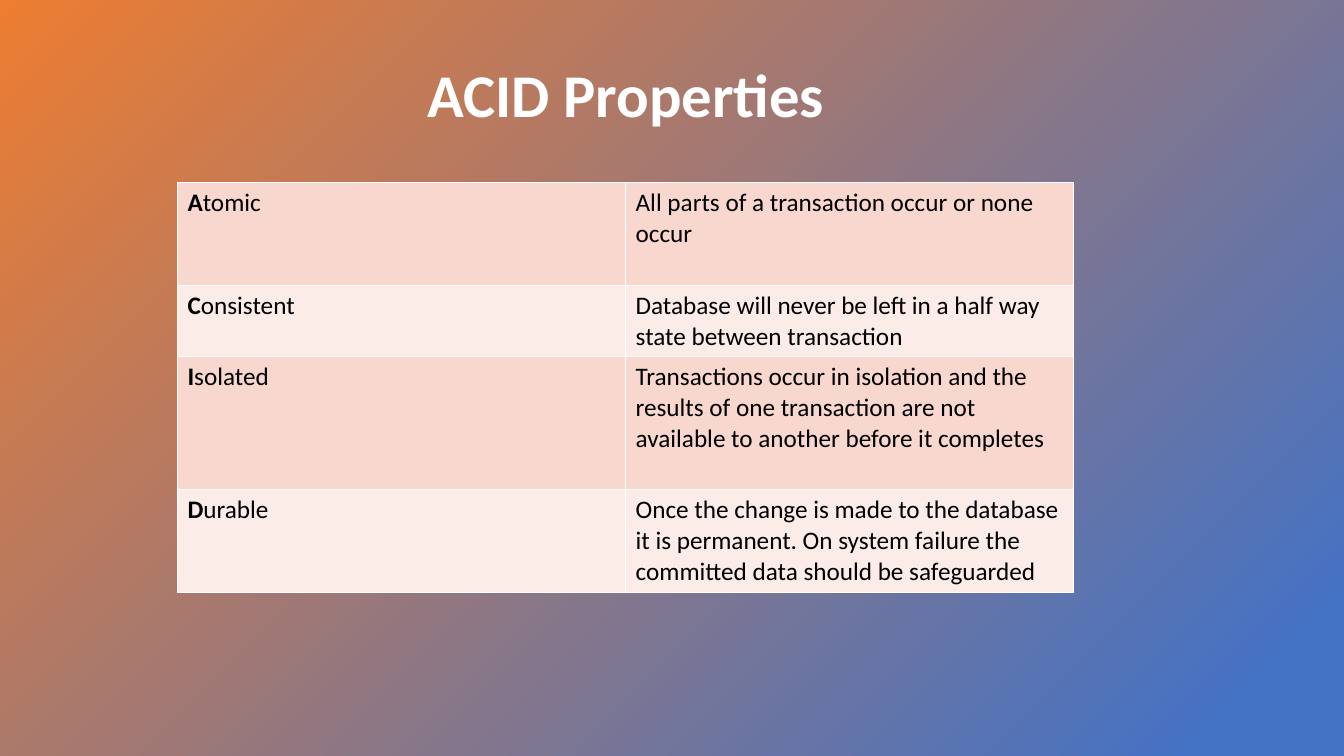
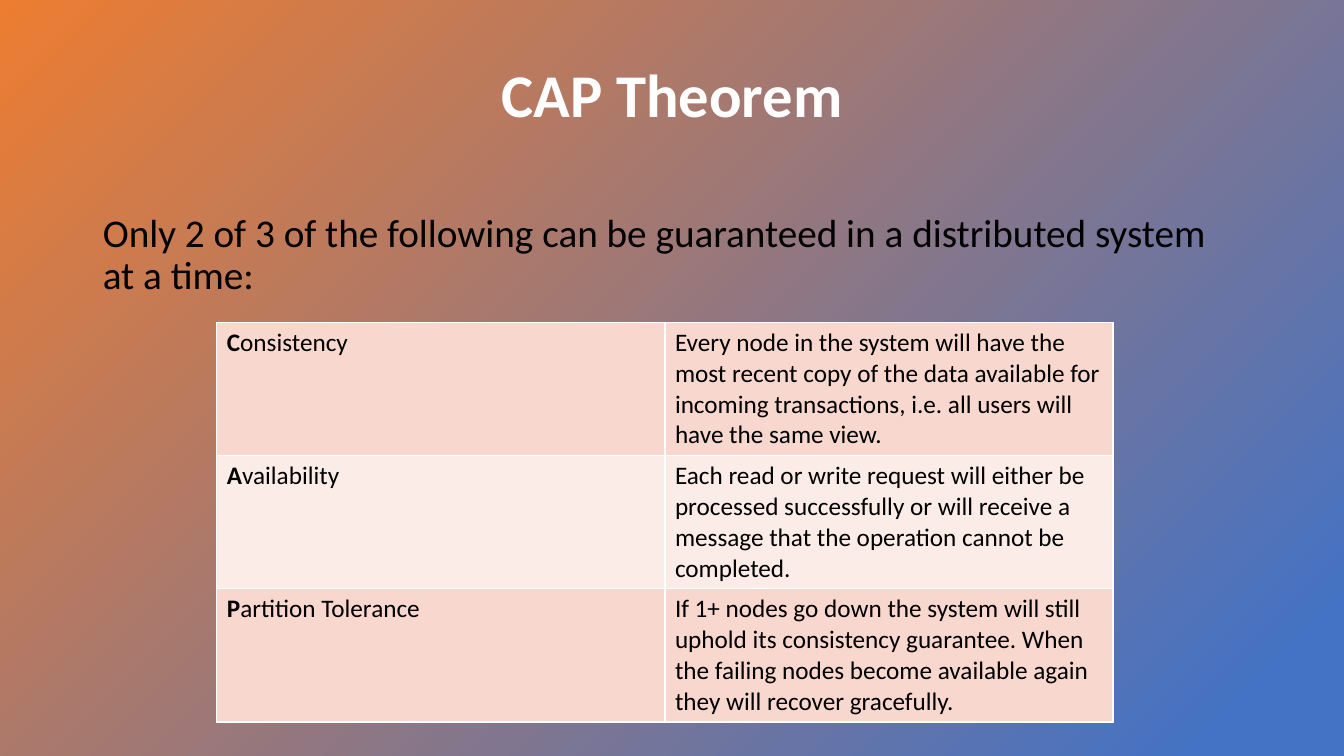
from lxml import etree
from pptx import Presentation
from pptx.dml.color import RGBColor
from pptx.enum.text import MSO_ANCHOR, MSO_AUTO_SIZE, PP_ALIGN
from pptx.oxml.ns import qn
from pptx.util import Inches, Pt

CENTER = PP_ALIGN.CENTER
MIDDLE = MSO_ANCHOR.MIDDLE
NO_AUTOFIT = MSO_AUTO_SIZE.NONE

ORANGE = RGBColor(0xED, 0x7D, 0x31)
BLUE = RGBColor(0x44, 0x72, 0xC4)
WHITE = RGBColor(0xFF, 0xFF, 0xFF)
BLACK = RGBColor(0x00, 0x00, 0x00)
BANDS = (RGBColor(0xF8, 0xD7, 0xCE), RGBColor(0xFC, 0xEC, 0xE8))

FONT = "Calibri"
TITLE_AND_BODY, TITLE_ONLY = 1, 5
TITLE_TOP, TITLE_WIDTH, TITLE_HEIGHT = 0.14, 9.93, 1.67
TABLE_WIDTH = 8.89

ACID_ROWS = [
    ("Atomic", "All parts of a transaction occur or none occur", 1.02),
    ("Consistent", "Database will never be left in a half way state between "
     "transaction", 0.71),
    ("Isolated", "Transactions occur in isolation and the results of one "
     "transaction are not available to another before it completes", 1.32),
    ("Durable", "Once the change is made to the database it is permanent. "
     "On system failure the committed data should be safeguarded", 1.02),
]
CAP_ROWS = [
    ("Consistency", "Every node in the system will have the most recent copy "
     "of the data available for incoming transactions, i.e. all users will "
     "have the same view.", 1.32),
    ("Availability", "Each read or write request will either be processed "
     "successfully or will receive a message that the operation cannot be "
     "completed.", 1.32),
    ("Partition Tolerance", "If 1+ nodes go down the system will still uphold "
     "its consistency guarantee. When the failing nodes become available "
     "again they will recover gracefully.", 1.32),
]


def paint_background(master):
    fill = master.background.fill
    fill.gradient()
    fill.gradient_angle = 315
    for stop, color, position in zip(fill.gradient_stops, (ORANGE, BLUE), (0, 0.93)):
        stop.color.rgb = color
        stop.position = position


def format_run(run, size, color, bold=False):
    run.font.name = FONT
    run.font.size = Pt(size)
    run.font.color.rgb = color
    run.font.bold = bold


def place(shape, left, top, width, height):
    shape.left, shape.top = Inches(left), Inches(top)
    shape.width, shape.height = Inches(width), Inches(height)


def set_title(slide, wording, left):
    title = slide.shapes.title
    place(title, left, TITLE_TOP, TITLE_WIDTH, TITLE_HEIGHT)
    frame = title.text_frame
    frame.text = wording
    frame.auto_size = NO_AUTOFIT
    frame.vertical_anchor = MIDDLE
    frame.margin_left = frame.margin_right = 0
    frame.margin_top = frame.margin_bottom = 0
    paragraph = frame.paragraphs[0]
    paragraph.alignment = CENTER
    paragraph.line_spacing = 0.9
    format_run(paragraph.runs[0], 43.3, WHITE, bold=True)


def set_lead(slide, wording, left, top, width, height):
    """Fill the body placeholder with one unbulleted sentence."""
    lead = slide.placeholders[1]
    place(lead, left, top, width, height)
    frame = lead.text_frame
    frame.text = wording
    frame.auto_size = NO_AUTOFIT
    paragraph = frame.paragraphs[0]
    paragraph.line_spacing = 0.9
    paragraph.space_before = Pt(10)
    properties = paragraph._p.get_or_add_pPr()
    properties.set("marL", "0")
    properties.set("indent", "0")
    etree.SubElement(properties, qn("a:buNone"))
    format_run(paragraph.runs[0], 28, BLACK)


def style_cell(cell, band):
    """Draw white borders, then fill the cell with its band colour."""
    properties = cell._tc.get_or_add_tcPr()
    for side in ("lnL", "lnR", "lnT", "lnB"):
        line = etree.SubElement(properties, qn(f"a:{side}"), w=str(Pt(1)))
        solid = etree.SubElement(line, qn("a:solidFill"))
        etree.SubElement(solid, qn("a:srgbClr"), val=str(WHITE))
    cell.fill.solid()
    cell.fill.fore_color.rgb = band


def add_definitions(slide, rows, left, top):
    """Add a table of terms, initial in bold, and their meanings."""
    height = sum(row_height for _, _, row_height in rows)
    table = slide.shapes.add_table(
        len(rows), 2, Inches(left), Inches(top),
        Inches(TABLE_WIDTH), Inches(height)).table
    table.first_row = False
    for index, (term, meaning, row_height) in enumerate(rows):
        table.rows[index].height = Inches(row_height)
        term_cell, meaning_cell = table.rows[index].cells
        for cell in (term_cell, meaning_cell):
            style_cell(cell, BANDS[index % 2])
        term_cell.text_frame.text = term[0]
        term_line = term_cell.text_frame.paragraphs[0]
        term_line.add_run().text = term[1:]
        initial, rest = term_line.runs
        format_run(initial, 18, BLACK, bold=True)
        format_run(rest, 18, BLACK)
        meaning_cell.text_frame.text = meaning
        format_run(meaning_cell.text_frame.paragraphs[0].runs[0], 18, BLACK)


def build_acid_slide(deck):
    slide = deck.slides.add_slide(deck.slide_layouts[TITLE_ONLY])
    set_title(slide, "ACID Properties", 1.24)
    add_definitions(slide, ACID_ROWS, 1.76, 1.81)


def build_cap_slide(deck):
    slide = deck.slides.add_slide(deck.slide_layouts[TITLE_AND_BODY])
    set_title(slide, "CAP Theorem", 1.7)
    set_lead(slide, "Only 2 of 3 of the following can be guaranteed in a "
             "distributed system at a time:", 0.92, 2.07, 11.5, 1.12)
    add_definitions(slide, CAP_ROWS, 2.15, 3.2)


def main():
    deck = Presentation()
    deck.slide_width, deck.slide_height = Inches(13.33), Inches(7.5)
    paint_background(deck.slide_master)
    build_acid_slide(deck)
    build_cap_slide(deck)
    deck.save("out.pptx")


if __name__ == "__main__":
    main()
